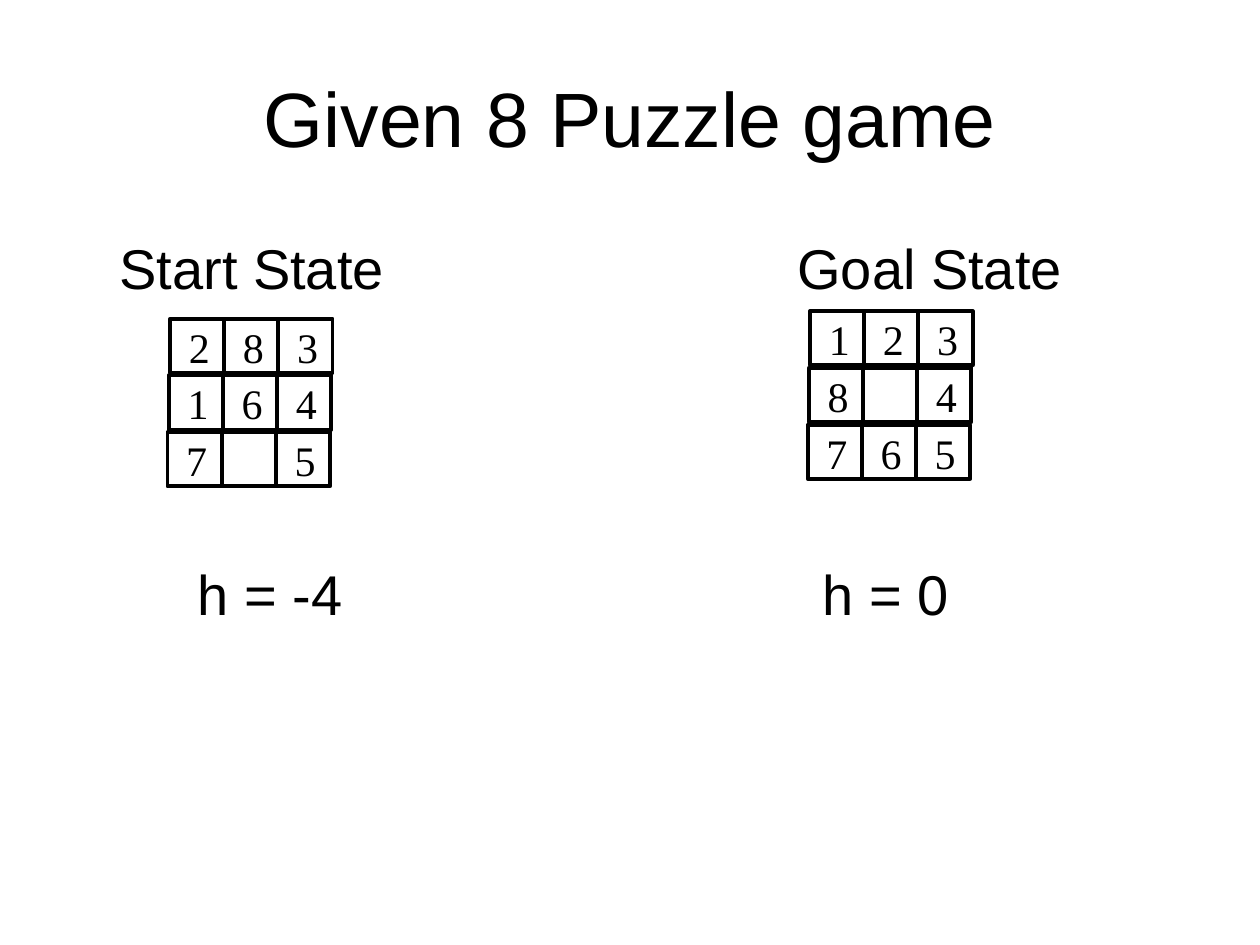
from lxml import etree
from pptx import Presentation
from pptx import util as u
from pptx.dml.color import RGBColor
from pptx.enum import shapes, text
from pptx.oxml import ns

BLACK = RGBColor(0, 0, 0)
WIDTH, HEIGHT = u.Inches(10), u.Inches(7.5)
TILE = u.Inches(0.43)
ROW_PITCH = u.Inches(0.45)
ROW_DRIFT = u.Inches(0.01)

TITLE_FONT = {"name": "Arial", "size": u.Pt(44)}
STATE_FONT = {"name": "Arial", "size": u.Pt(32)}
DIGIT_FONT = {"name": "Times New Roman", "size": u.Pt(24)}

BOARDS = [
    (1.35, 2.53, ["283", "164", "7 5"]),
    (6.43, 2.47, ["123", "8 4", "765"]),
]
STATE_LINES = [
    ("\tStart State\tGoal State", (0.35, 5.73), 0),
    ("\th = -4\th = 0", (0.97, 5.93), 148),
]


def apply_format(target, values):
    for name, value in values.items():
        setattr(target, name, value)


def write(paragraph, wording, font):
    run = paragraph.add_run()
    run.text = wording
    apply_format(run.font, font)
    run.font.color.rgb = BLACK


def add_title(slide, wording):
    title = slide.shapes.add_textbox(
        int(WIDTH * 0.05), int(HEIGHT * 0.04), int(WIDTH * 0.9), u.Inches(1.25))
    apply_format(title.text_frame, {
        "word_wrap": True, "vertical_anchor": text.MSO_ANCHOR.MIDDLE})
    heading = title.text_frame.paragraphs[0]
    heading.alignment = text.PP_ALIGN.CENTER
    write(heading, wording, TITLE_FONT)


def set_tabs(paragraph, stops):
    tabs = etree.SubElement(paragraph._p.get_or_add_pPr(), ns.qn("a:tabLst"))
    for stop in stops:
        etree.SubElement(tabs, ns.qn("a:tab"), pos=str(u.Inches(stop)), algn="l")


def add_states(slide):
    states = slide.shapes.add_textbox(
        int(WIDTH * 0.05), u.Inches(1.75), int(WIDTH * 0.9), int(HEIGHT * 0.66))
    frame = states.text_frame
    apply_format(frame, {"word_wrap": True, "margin_top": u.Inches(0.1)})
    for index, (wording, stops, gap) in enumerate(STATE_LINES):
        line = frame.add_paragraph() if index else frame.paragraphs[0]
        line.space_before = u.Pt(gap)
        set_tabs(line, stops)
        write(line, wording, STATE_FONT)


def add_tile(board, left, top, digit):
    tile = board.shapes.add_shape(
        shapes.MSO_SHAPE.RECTANGLE, left, top, TILE, TILE)
    tile.shadow.inherit = False
    tile.fill.background()
    tile.line.color.rgb = BLACK
    tile.line.width = u.Pt(2.25)
    if digit.strip():
        label = board.shapes.add_textbox(
            left + u.Inches(0.05), top - u.Inches(0.03),
            u.Inches(0.36), u.Inches(0.5))
        apply_format(label.text_frame, {
            "word_wrap": False,
            "auto_size": text.MSO_AUTO_SIZE.SHAPE_TO_FIT_TEXT})
        write(label.text_frame.paragraphs[0], digit, DIGIT_FONT)


def add_board(slide, left, top, rows):
    board = slide.shapes.add_group_shape()
    for row, digits in enumerate(rows):
        for column, digit in enumerate(digits):
            add_tile(
                board,
                u.Inches(left) + column * TILE - row * ROW_DRIFT,
                u.Inches(top) + row * ROW_PITCH,
                digit)


def main():
    deck = Presentation()
    deck.slide_width, deck.slide_height = WIDTH, HEIGHT
    slide = deck.slides.add_slide(deck.slide_layouts[6])
    add_title(slide, "Given 8 Puzzle game")
    add_states(slide)
    for left, top, rows in BOARDS:
        add_board(slide, left, top, rows)
    deck.save("out.pptx")


if __name__ == "__main__":
    main()
